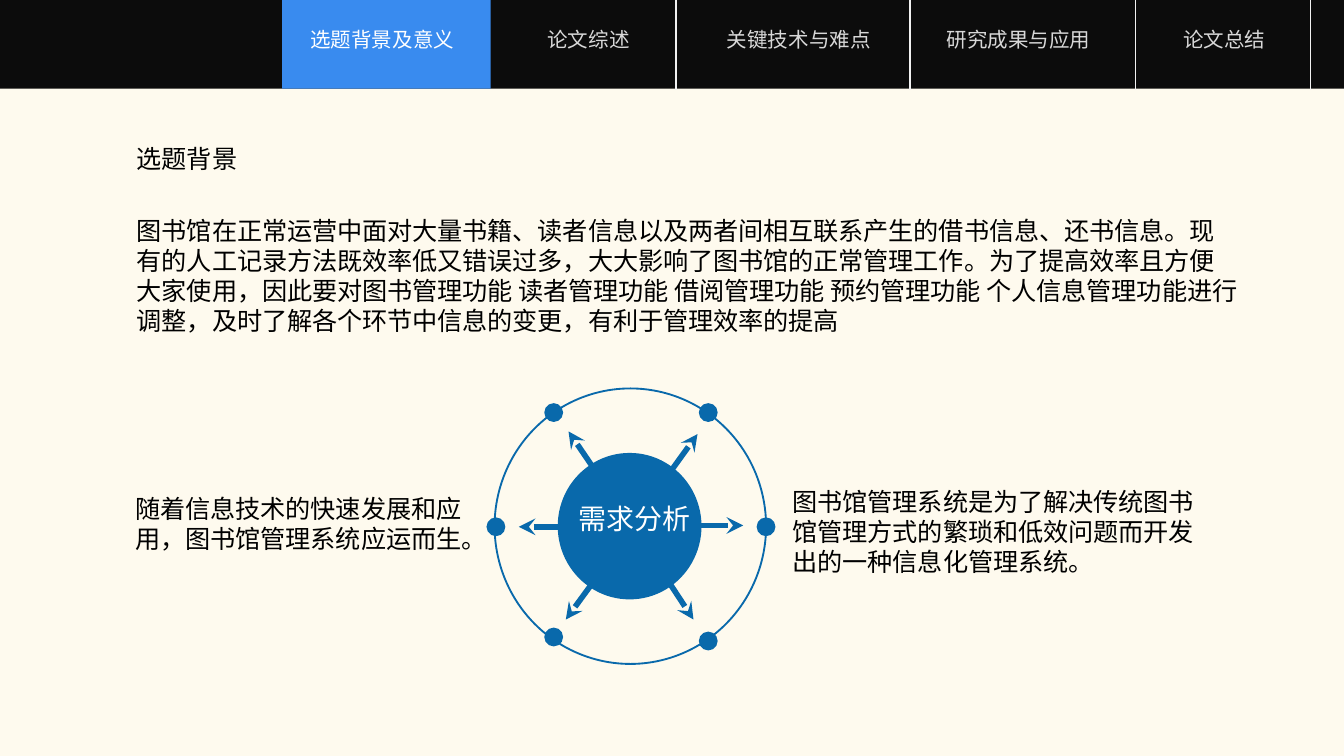
from lxml import etree
from pptx import Presentation
from pptx.dml.color import RGBColor
from pptx.enum.shapes import MSO_CONNECTOR, MSO_SHAPE
from pptx.enum.text import PP_ALIGN
from pptx.oxml.ns import qn
from pptx.util import Inches, Pt

COLORS = {
    "paper": "FEFAEE", "bar": "0C0C0C", "active": "398BEF", "divider": "F2F2F2",
    "tab": "D8D8D8", "white": "FFFFFF", "ink": "000000", "hub": "0969AB",
}
CJK = "Noto Sans CJK SC"
BODY = "Roboto"


def color(name):
    return RGBColor.from_string(COLORS[name])


def add_shape(slide, kind, box, fill=None, line=None):
    shape = slide.shapes.add_shape(kind, *map(Inches, box))
    shape.shadow.inherit = False
    if fill:
        shape.fill.solid()
        shape.fill.fore_color.rgb = color(fill)
    else:
        shape.fill.background()
    if line:
        shape.line.color.rgb = color(line)
        shape.line.width = Pt(1)
    else:
        shape.line.fill.background()


def add_line(slide, start, end, line, width, arrow=False):
    connector = slide.shapes.add_connector(
        MSO_CONNECTOR.STRAIGHT, *map(Inches, (*start, *end)))
    connector.line.color.rgb = color(line)
    connector.line.width = Pt(width)
    properties = connector._element.spPr
    if arrow:
        etree.SubElement(properties.find(qn("a:ln")), qn("a:tailEnd"), type="stealth")
    etree.SubElement(properties, qn("a:effectLst"))


def add_text(slide, box, text, size, ink="ink", font=CJK, align=PP_ALIGN.LEFT, wrap=True):
    frame = slide.shapes.add_textbox(*map(Inches, box)).text_frame
    frame.word_wrap = wrap
    paragraph = frame.paragraphs[0]
    paragraph.alignment = align
    run = paragraph.add_run()
    run.text = text
    run.font.size = Pt(size)
    run.font.name = font
    run.font.color.rgb = color(ink)
    etree.SubElement(run.font._element, qn("a:ea"), typeface=CJK)


def add_navigation(slide):
    add_shape(slide, MSO_SHAPE.RECTANGLE, (0, 0, 10, 0.66), "bar")
    add_shape(slide, MSO_SHAPE.RECTANGLE, (2.1, 0, 1.55, 0.66), "active")
    tabs = [
        ("选题背景及意义", 2.16, 1.37), ("论文综述", 3.65, 1.46),
        ("关键技术与难点", 5.21, 1.47), ("研究成果与应用", 6.8, 1.56),
        ("论文总结", 8.47, 1.28),
    ]
    for index, (label, left, width) in enumerate(tabs):
        add_text(slide, (left, 0.15, width, 0.29), label, 11,
                 "tab" if index else "white", align=PP_ALIGN.CENTER)
    for x in (5.03, 6.77, 8.45, 9.75):
        add_line(slide, (x, 0), (x, 0.67), "divider", 0.75)


def add_hub(slide):
    add_shape(slide, MSO_SHAPE.OVAL, (3.68, 2.89, 2.02, 2.05), line="hub")
    dots = [(5.2, 3), (4.05, 3), (3.62, 3.85), (5.63, 3.85), (5.2, 4.7), (4.05, 4.67)]
    for left, top in dots:
        add_shape(slide, MSO_SHAPE.OVAL, (left, top, 0.14, 0.14), "hub")
    arrows = [
        ((4.7, 3.91), (5.19, 3.23)), ((4.69, 3.91), (5.53, 3.91)),
        ((4.7, 3.9), (4.23, 3.21)), ((4.69, 3.92), (3.86, 3.92)),
        ((4.7, 3.94), (4.21, 4.61)), ((4.72, 3.94), (5.16, 4.61)),
    ]
    for start, tip in arrows:
        add_line(slide, start, tip, "hub", 3, arrow=True)
    add_shape(slide, MSO_SHAPE.OVAL, (4.15, 3.37, 1.07, 1.09), "hub")
    add_text(slide, (4.21, 3.68, 1.1, 0.35), "需求分析", 15, "white")


def add_passages(slide):
    add_text(slide, (0.92, 1.02, 0.96, 0.33), "选题背景", 13.5, wrap=False)
    passages = [
        ((0.92, 1.55, 8.4, 1.5),
         "图书馆在正常运营中面对大量书籍、读者信息以及两者间相互联系产生的借书信息、还书信息。"
         "现有的人工记录方法既效率低又错误过多，大大影响了图书馆的正常管理工作。"
         "为了提高效率且方便大家使用，因此要对图书管理功能 读者管理功能 借阅管理功能 "
         "预约管理功能 个人信息管理功能进行调整，及时了解各个环节中信息的变更，有利于管理效率的提高"),
        ((0.91, 3.62, 2.66, 1.57),
         "随着信息技术的快速发展和应用，图书馆管理系统应运而生。"),
        ((5.8, 3.57, 3.27, 1.37),
         "图书馆管理系统是为了解决传统图书馆管理方式的繁琐和低效问题而开发出的一种信息化管理系统。"),
    ]
    for box, text in passages:
        add_text(slide, box, text, 13.5, font=BODY)


def main():
    deck = Presentation()
    deck.slide_width = Inches(10)
    deck.slide_height = deck.slide_width * 9 // 16
    slide = deck.slides.add_slide(deck.slide_layouts[6])
    slide.background.fill.solid()
    slide.background.fill.fore_color.rgb = color("paper")
    add_hub(slide)
    add_navigation(slide)
    add_passages(slide)
    deck.save("out.pptx")


main()
